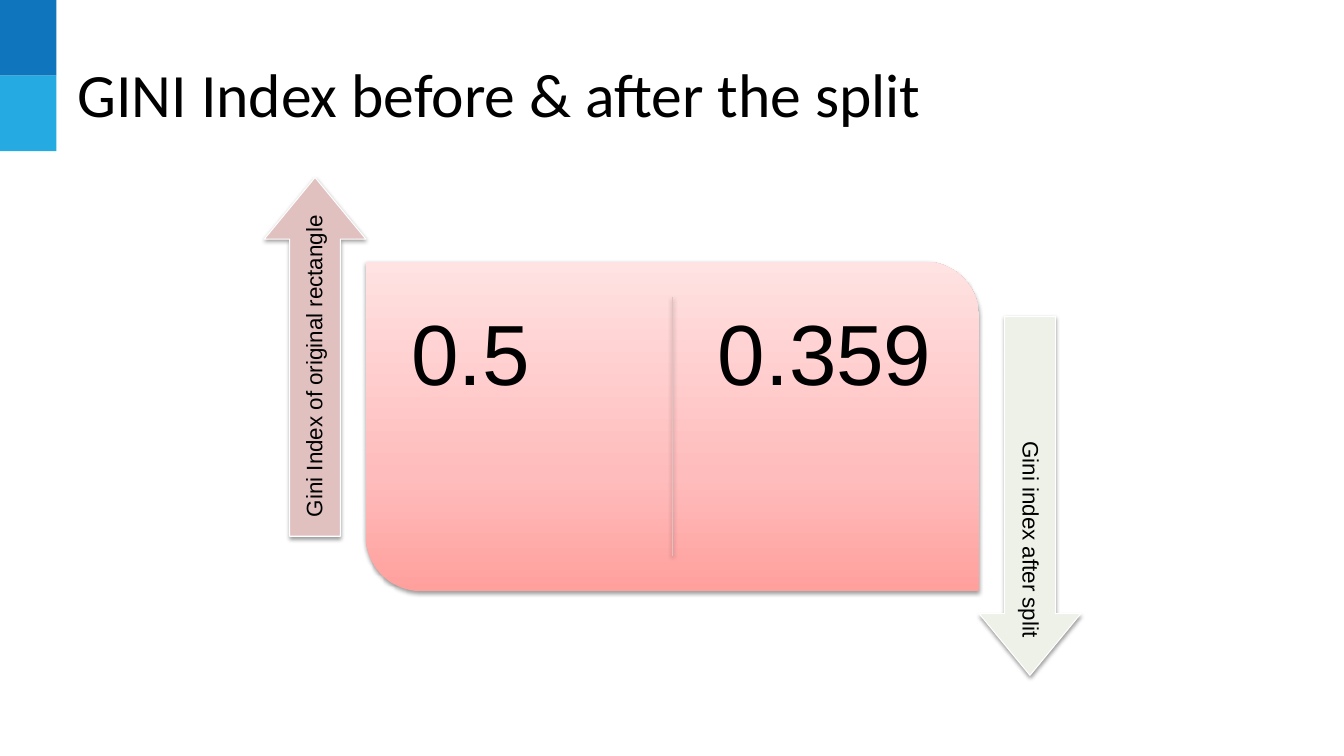
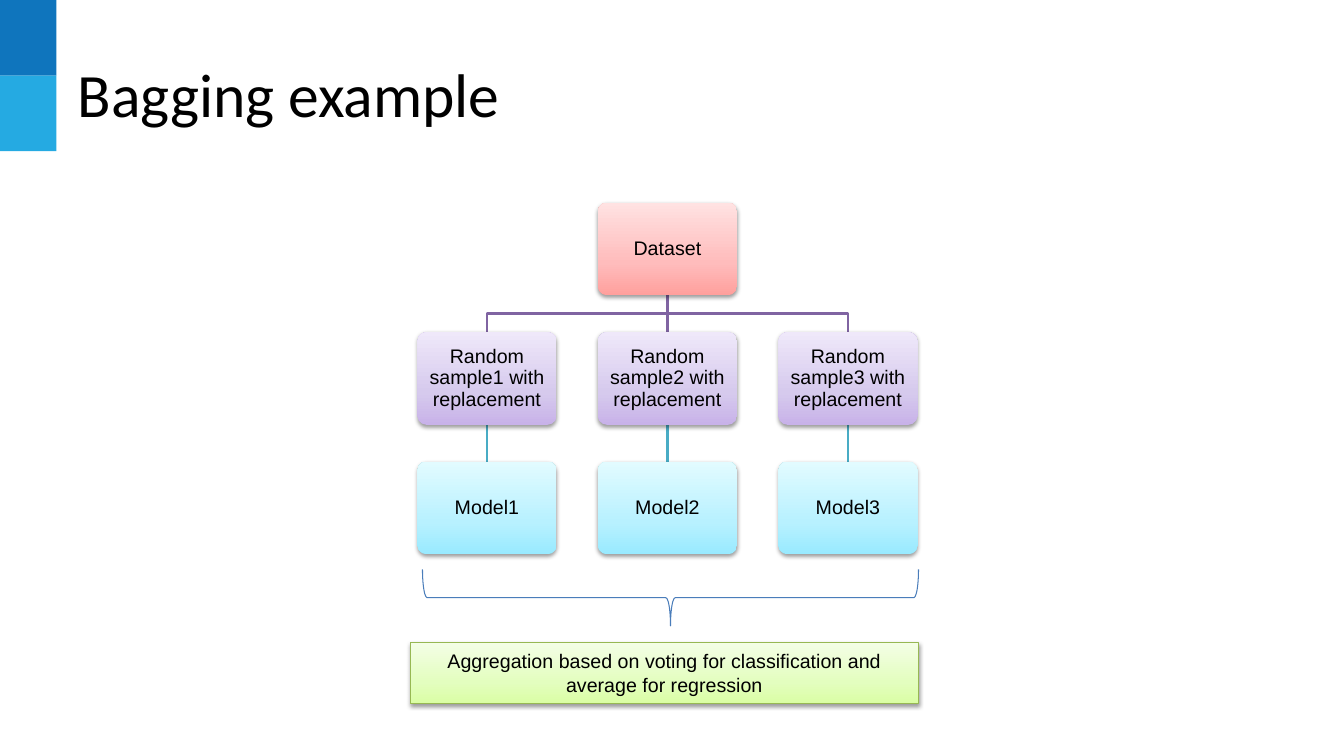
from copy import deepcopy
from dataclasses import dataclass

from lxml.etree import SubElement
from pptx import Presentation
from pptx.dml.color import RGBColor
from pptx.enum.shapes import MSO_CONNECTOR as Link, MSO_SHAPE as Kind
from pptx.enum.text import MSO_ANCHOR as Anchor, MSO_AUTO_SIZE as Fit, PP_ALIGN as Align
from pptx.oxml.ns import qn
from pptx.util import Inches, Pt


@dataclass(frozen=True)
class Theme:
    """Colours, fonts and type sizes of the deck."""
    heading: str = "Calibri"
    body: str = "Arial"
    title_size: int = 44
    figure_size: int = 61
    arrow_size: int = 16
    node_size: int = 14
    ink: str = "000000"
    white: str = "FFFFFF"
    bands: tuple = ("0F75BD", "25AAE2")
    red: tuple = ("FFA09D", "FFBCBC", "FFE2E2")
    purple: tuple = ("C8B2E9", "D6CAED", "EFE8FA")
    cyan: tuple = ("99EAFF", "B8F1FF", "E2FBFF")
    green: tuple = ("DAFEA4", "E3FEBF", "F4FEE6")
    stops: tuple = (0, 0.35, 1)
    rose: str = "E1C1C0"
    sage: str = "EDF1E7"
    branch: str = "8064A2"
    model_link: str = "49ACC5"
    brace: str = "4A7DBA"
    green_edge: str = "97B853"


@dataclass(frozen=True)
class Box:
    """A rectangle in inches."""
    left: float
    top: float
    width: float
    height: float

    @property
    def right(self):
        """Return the right edge."""
        return self.left + self.width

    @property
    def bottom(self):
        """Return the bottom edge."""
        return self.top + self.height

    @property
    def middle(self):
        """Return the horizontal centre."""
        return self.left + self.width / 2

    def lengths(self):
        """Return the four lengths in drawing units."""
        return [Inches(side) for side in (self.left, self.top, self.width, self.height)]


THEME = Theme()


def write(frame, text, size, font=THEME.body, align=Align.LEFT, anchor=Anchor.MIDDLE,
          margins=(0.1, 0.05), spacing=None):
    """Put formatted text in a text frame."""
    frame.word_wrap = True
    frame.auto_size = Fit.NONE
    frame.vertical_anchor = anchor
    frame.margin_left = frame.margin_right = Inches(margins[0])
    frame.margin_top = frame.margin_bottom = Inches(margins[1])
    para = frame.paragraphs[0]
    para.alignment = align
    para.line_spacing = spacing
    span = para.add_run()
    span.text = text
    span.font.name = font
    span.font.size = Pt(size)
    span.font.color.rgb = RGBColor.from_string(THEME.ink)


def set_shadow(shape, cast):
    """Give a shape a soft shadow below it, or none."""
    effects = SubElement(shape.element.spPr, qn("a:effectLst"))
    if cast:
        shadow = SubElement(effects, qn("a:outerShdw"), blurRad=str(Pt(3.1)),
                            dist=str(Pt(1.6)), dir="5400000", rotWithShape="0")
        colour = SubElement(shadow, qn("a:srgbClr"), val=THEME.ink)
        SubElement(colour, qn("a:alpha"), val="38000")


def set_fill(shape, fill):
    """Fill a shape with a colour, a rising gradient or nothing."""
    if fill is None:
        shape.fill.background()
    elif isinstance(fill, str):
        shape.fill.solid()
        shape.fill.fore_color.rgb = RGBColor.from_string(fill)
    else:
        shape.fill.gradient()
        shape.fill.gradient_angle = 90
        stop_list = shape.element.spPr.find(qn("a:gradFill")).find(qn("a:gsLst"))
        stop_list.append(deepcopy(stop_list[-1]))
        for stop, colour, place in zip(shape.fill.gradient_stops, fill, THEME.stops):
            stop.color.rgb = RGBColor.from_string(colour)
            stop.position = place


def set_line(shape, colour, weight=0.75):
    """Outline a shape, or leave it without a line."""
    if colour is None:
        shape.line.fill.background()
    else:
        shape.line.color.rgb = RGBColor.from_string(colour)
        shape.line.width = Pt(weight)


def add_figure(page, kind, box, fill=None, line=None, adjust=(), turn=0, shadow=True):
    """Add a preset shape that covers the box after a quarter turn or none."""
    if turn:
        box = Box(box.middle - box.height / 2, box.top + (box.height - box.width) / 2,
                  box.height, box.width)
    shape = page.shapes.add_shape(kind, *box.lengths())
    shape.rotation = turn
    for index, value in enumerate(adjust):
        shape.adjustments[index] = value
    set_fill(shape, fill)
    set_line(shape, line)
    set_shadow(shape, shadow)
    return shape


def add_link(page, start, end, colour, weight, shadow=False):
    """Draw a straight line between two points."""
    link = page.shapes.add_connector(Link.STRAIGHT, *map(Inches, (*start, *end)))
    set_line(link, colour, weight)
    set_shadow(link, shadow)


def add_bands(page, layout):
    """Place the two corner bands on the layout that all pages share."""
    for index, colour in enumerate(THEME.bands):
        band = add_figure(page, Kind.RECTANGLE, Box(0, 0.75 * index, 0.56, 0.75),
                          fill=colour, shadow=False)
        band.element.nvSpPr.cNvPr.set("id", str(100 + index))
        layout.shapes.element.append(band.element)


def add_page(deck, layout, title):
    """Add a page with its title."""
    page = deck.slides.add_slide(layout)
    holder = page.shapes.title
    holder.left, holder.top, holder.width, holder.height = Box(0.67, 0.3, 12, 1.25).lengths()
    write(holder.text_frame, title, THEME.title_size, font=THEME.heading)
    return page


def add_comparison(page, box):
    """Draw two values on a panel between a rising and a falling arrow."""
    arrow_width, arrow_height, panel_height = 1.01, 3.56, 3.27
    panel = Box(box.left + arrow_width, box.top + (box.height - panel_height) / 2,
                box.width - 2 * arrow_width, panel_height)
    add_figure(page, Kind.ROUND_2_DIAG_RECTANGLE, panel, fill=THEME.red, adjust=(0, 0.167))
    add_link(page, (panel.middle, panel.top + 0.35), (panel.middle, panel.bottom - 0.35),
             THEME.rose, 0.75, shadow=True)
    for left, value in ((panel.left, "0.5"), (panel.middle, "0.359")):
        cell = Box(left + 0.2, panel.top + 0.25, panel.width / 2 - 0.4, panel.height - 0.5)
        frame = page.shapes.add_textbox(*cell.lengths()).text_frame
        write(frame, value, THEME.figure_size, anchor=Anchor.TOP,
              margins=(0.25, 0.25), spacing=0.9)
    arrows = (
        (box.left, box.top, 270, THEME.rose, "Gini Index of original rectangle"),
        (panel.right, box.bottom - arrow_height, 90, THEME.sage, "Gini index after split"),
    )
    for left, top, turn, fill, label in arrows:
        arrow = add_figure(page, Kind.RIGHT_ARROW, Box(left, top, arrow_width, arrow_height),
                           fill=fill, line=THEME.white, adjust=(0.498, 0.607), turn=turn)
        write(arrow.text_frame, label, THEME.arrow_size, align=Align.RIGHT,
              margins=(0.07, 0.07), spacing=0.9)


def add_node(page, box, text, fill):
    """Draw one rounded node of the tree."""
    node = add_figure(page, Kind.ROUNDED_RECTANGLE, box, fill=fill, adjust=(0.1,))
    write(node.text_frame, text, THEME.node_size, align=Align.CENTER,
          margins=(0.09, 0.09), spacing=0.9)


def add_fork(page, left, right, top, bottom):
    """Draw the open bracket that joins the outer branches."""
    points = [(Inches(x), Inches(y)) for x, y in
              ((left, bottom), (left, top), (right, top), (right, bottom))]
    builder = page.shapes.build_freeform(*points[0])
    builder.add_line_segments(points[1:], close=False)
    fork = builder.convert_to_shape()
    set_fill(fork, None)
    set_line(fork, THEME.branch, 2)
    set_shadow(fork, False)


def add_tree(page, box):
    """Draw the dataset, its three samples and their models."""
    node_width, node_height = 1.38, 0.92
    column_step = (box.width - node_width) / 2
    row_step = (box.height - node_height) / 2
    root, samples, models = (box.top + row_step * row for row in range(3))
    lefts = [box.left + column_step * column for column in range(3)]
    centres = [left + node_width / 2 for left in lefts]
    root_bottom = root + node_height
    add_fork(page, centres[0], centres[2], (root_bottom + samples) / 2, samples)
    add_link(page, (box.middle, root_bottom), (box.middle, samples), THEME.branch, 2)
    add_node(page, Box(lefts[1], root, node_width, node_height), "Dataset", THEME.red)
    for number, (left, centre) in enumerate(zip(lefts, centres), 1):
        add_link(page, (centre, samples + node_height), (centre, models), THEME.model_link, 2)
        add_node(page, Box(left, samples, node_width, node_height),
                 f"Random sample{number} with replacement", THEME.purple)
        add_node(page, Box(left, models, node_width, node_height),
                 f"Model{number}", THEME.cyan)


def add_aggregation(page, box):
    """Draw the brace under the models and the box that sums them up."""
    brace_width, brace_height, note_height = 4.92, 0.56, 0.61
    add_figure(page, Kind.RIGHT_BRACE,
               Box(box.right - brace_width, box.top, brace_width, brace_height),
               line=THEME.brace, adjust=(0.083, 0.5), turn=90, shadow=False)
    note = add_figure(page, Kind.RECTANGLE,
                      Box(box.left, box.bottom - note_height, box.width, note_height),
                      fill=THEME.green, line=THEME.green_edge)
    write(note.text_frame,
          "Aggregation based on voting for classification and average for regression",
          THEME.node_size, align=Align.CENTER)


def main():
    """Build and save the deck."""
    deck = Presentation()
    deck.slide_width, deck.slide_height = Inches(13.33), Inches(7.5)
    layout = deck.slide_layouts.get_by_name("Title Only")
    gini = add_page(deck, layout, "GINI Index before & after the split")
    add_bands(gini, layout)
    add_comparison(gini, Box(2.62, 1.76, 8.1, 4.94))
    bagging = add_page(deck, layout, "Bagging example")
    add_tree(bagging, Box(4.14, 2.01, 4.96, 3.49))
    add_aggregation(bagging, Box(4.07, 5.65, 5.04, 1.33))
    deck.save("out.pptx")


if __name__ == "__main__":
    main()
